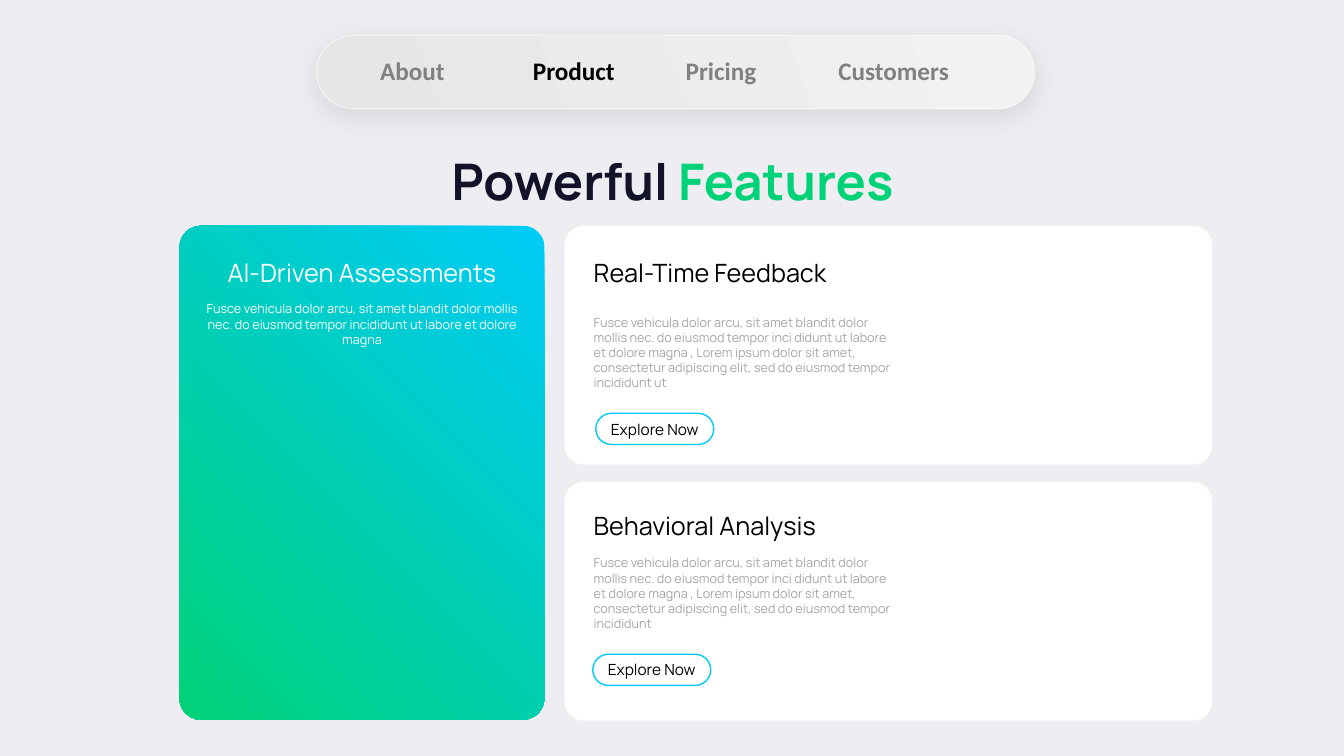
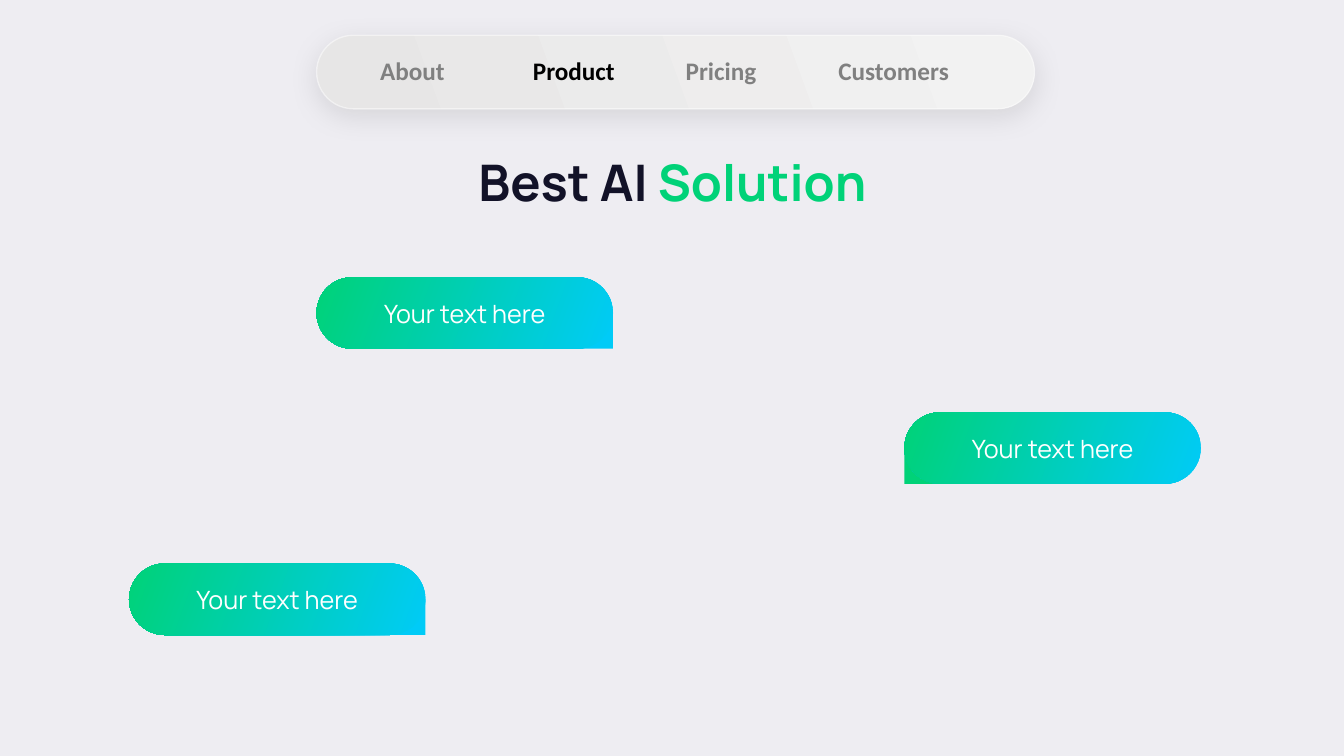
from dataclasses import dataclass
from typing import NamedTuple, Optional

from lxml import etree
from pptx import Presentation
from pptx.dml import color as dml
from pptx.enum import shapes, text
from pptx.oxml import ns
from pptx.util import Inches, Pt


@dataclass(frozen=True)
class Theme:
    background: str = "EEEDF2"
    navy: str = "121228"
    green: str = "00D278"
    cyan: str = "00CBF7"
    white: str = "FFFFFF"
    black: str = "000000"
    nav_grey: str = "808080"
    body_grey: str = "A5A5A5"
    bar_dark: str = "E7E6E6"
    bar_light: str = "F2F2F2"
    font: str = "Manrope"
    nav_font: str = "Calibri"
    title_size: int = 36
    heading_size: int = 18
    button_size: int = 11
    body_size: int = 9


class Box(NamedTuple):
    left: float
    top: float
    width: float
    height: float

    def lengths(self) -> list:
        return [Inches(v) for v in self]


class Gradient(NamedTuple):
    start: str
    end: str
    angle: float


class Run(NamedTuple):
    text: str
    color: str
    size: int
    bold: bool = False
    font: str = "Manrope"


@dataclass(frozen=True)
class FeatureCard:
    top: float
    heading: str
    heading_top: float
    body: str
    body_top: float
    button_left: float
    button_top: float


@dataclass(frozen=True)
class Bubble:
    left: float
    top: float
    tail_right: bool


T = Theme()
NO_STYLE = "{2D5ABB26-0587-4C30-8999-92F81FD0307C}"
NAV_ITEMS = ("About", "Product", "Pricing", "Customers")
NAV_ACTIVE = "Product"
ROUNDED = shapes.MSO_SHAPE.ROUNDED_RECTANGLE
LEFT, CENTER = text.PP_ALIGN.LEFT, text.PP_ALIGN.CENTER

LOREM = "Fusce vehicula dolor arcu, sit amet blandit dolor mollis nec. do eiusmod tempor "
LONG_LOREM = (
    LOREM + "inci didunt ut labore et dolore magna , Lorem ipsum dolor sit amet, "
    "consectetur adipiscing elit, sed do eiusmod tempor incididunt"
)
CARDS = (
    FeatureCard(2.24, "Real-Time Feedback", 2.5, LONG_LOREM + " ut", 3.07, 5.91, 4.1),
    FeatureCard(4.78, "Behavioral Analysis", 5.01, LONG_LOREM, 5.46, 5.88, 6.49),
)
BUBBLES = (Bubble(3.14, 2.75, True), Bubble(1.28, 5.59, True), Bubble(8.97, 4.09, False))
BUBBLE_W, BUBBLE_H, TAIL_W = 2.94, 0.71, 1.83


def rgb(value: str) -> dml.RGBColor:
    return dml.RGBColor.from_string(value)


def add_run(p, run: Run) -> None:
    r = p.add_run()
    r.text = run.text
    r.font.name = run.font
    r.font.size = Pt(run.size)
    r.font.bold = run.bold
    r.font.color.rgb = rgb(run.color)


def paint(sp, fill) -> None:
    if fill is None:
        sp.fill.background()
    elif isinstance(fill, Gradient):
        sp.fill.gradient()
        for stop, value in zip(sp.fill.gradient_stops, (fill.start, fill.end)):
            stop.color.rgb = rgb(value)
        sp.fill.gradient_angle = fill.angle
    else:
        sp.fill.solid()
        sp.fill.fore_color.rgb = rgb(fill)


def add_block(slide, box: Box, fill, radius: float = 0, line: Optional[str] = None,
              label: Optional[Run] = None):
    kind = ROUNDED if radius else shapes.MSO_SHAPE.RECTANGLE
    sp = slide.shapes.add_shape(kind, *box.lengths())
    if radius:
        sp.adjustments[0] = radius
    sp.shadow.inherit = False
    paint(sp, fill)
    if line:
        sp.line.color.rgb = rgb(line)
        sp.line.width = Pt(1)
    else:
        sp.line.fill.background()
    if label:
        tf = sp.text_frame
        tf.word_wrap = False
        tf.vertical_anchor = text.MSO_ANCHOR.MIDDLE
        tf.paragraphs[0].alignment = CENTER
        add_run(tf.paragraphs[0], label)
    return sp


def add_text(slide, box: Box, run: Run, align=LEFT) -> None:
    tf = slide.shapes.add_textbox(*box.lengths()).text_frame
    tf.word_wrap = True
    p = tf.paragraphs[0]
    p.alignment = align
    add_run(p, run)


def add_title(slide, top: float, lead: str, accent: str) -> None:
    sp = slide.shapes.title
    sp.left, sp.top, sp.width, sp.height = Box(2.42, top, 8.5, 0.71).lengths()
    tf = sp.text_frame
    tf.auto_size = text.MSO_AUTO_SIZE.NONE
    tf.vertical_anchor = text.MSO_ANCHOR.TOP
    p = tf.paragraphs[0]
    p.alignment = CENTER
    add_run(p, Run(lead, T.navy, T.title_size, True))
    add_run(p, Run(accent, T.green, T.title_size, True))


def soften_bar(sp) -> None:
    sp_pr = sp._element.spPr
    line_color = sp_pr.find(ns.qn("a:ln")).find(".//" + ns.qn("a:srgbClr"))
    etree.SubElement(line_color, ns.qn("a:alpha"), val="50000")
    shadow = etree.SubElement(
        sp_pr.find(ns.qn("a:effectLst")), ns.qn("a:outerShdw"),
        blurRad=str(Pt(20)), dist=str(Pt(5)), dir="5400000", algn="t", rotWithShape="0")
    shade = etree.SubElement(shadow, ns.qn("a:srgbClr"), val=T.black)
    etree.SubElement(shade, ns.qn("a:alpha"), val="10000")


def add_nav(slide) -> None:
    bar = add_block(slide, Box(3.14, 0.35, 7.12, 0.73),
                    Gradient(T.bar_dark, T.bar_light, 20), 0.5, T.white)
    soften_bar(bar)
    frame = slide.shapes.add_table(1, len(NAV_ITEMS), *Box(3.67, 0.51, 6.06, 0.41).lengths())
    table = frame.table
    table.first_row = table.horz_banding = False
    table._tbl.tblPr.find(ns.qn("a:tableStyleId")).text = NO_STYLE
    for cell, item in zip(table.rows[0].cells, NAV_ITEMS):
        cell.fill.background()
        value = T.black if item == NAV_ACTIVE else T.nav_grey
        add_run(cell.text_frame.paragraphs[0],
                Run(item, value, T.heading_size, True, T.nav_font))


def add_page(prs, title_top: float, lead: str, accent: str):
    slide = prs.slides.add_slide(prs.slide_layouts[5])
    add_title(slide, title_top, lead, accent)
    add_nav(slide)
    return slide


def add_feature_card(slide, card: FeatureCard) -> None:
    add_block(slide, Box(5.6, card.top, 6.42, 2.37), T.white, 0.079)
    add_text(slide, Box(5.79, card.heading_top, 3.43, 0.4),
             Run(card.heading, T.black, T.heading_size))
    add_text(slide, Box(5.79, card.body_top, 3.24, 0.86),
             Run(card.body, T.body_grey, T.body_size))
    add_block(slide, Box(card.button_left, card.button_top, 1.17, 0.31), None, 0.5, T.cyan,
              Run("Explore Now", T.black, T.button_size))


def add_bubble(slide, bubble: Bubble) -> None:
    tail_left = bubble.left + (BUBBLE_W - TAIL_W if bubble.tail_right else 0)
    add_block(slide, Box(tail_left, bubble.top + BUBBLE_H / 2, TAIL_W, BUBBLE_H / 2),
              T.cyan if bubble.tail_right else T.green)
    add_block(slide, Box(bubble.left, bubble.top, BUBBLE_W, BUBBLE_H),
              Gradient(T.cyan, T.green, 160), 0.5,
              label=Run("Your text here", T.white, T.heading_size))


def build_features(prs) -> None:
    slide = add_page(prs, 1.44, "Powerful ", "Features")
    add_block(slide, Box(1.78, 2.24, 3.62, 4.9), Gradient(T.cyan, T.green, 225), 0.059)
    add_text(slide, Box(2.04, 2.5, 3.1, 0.4),
             Run("Al-Driven Assessments", T.white, T.heading_size), CENTER)
    add_text(slide, Box(1.9, 2.94, 3.38, 0.56),
             Run(LOREM + "incididunt ut labore et dolore magna", T.white, T.body_size), CENTER)
    for card in CARDS:
        add_feature_card(slide, card)


def build_solution(prs) -> None:
    slide = add_page(prs, 1.45, "Best AI ", "Solution")
    for bubble in BUBBLES:
        add_bubble(slide, bubble)


def main() -> None:
    prs = Presentation()
    prs.slide_width, prs.slide_height = Inches(13.33), Inches(7.5)
    fill = prs.slide_master.background.fill
    fill.solid()
    fill.fore_color.rgb = rgb(T.background)
    build_features(prs)
    build_solution(prs)
    prs.save("out.pptx")


if __name__ == "__main__":
    main()
